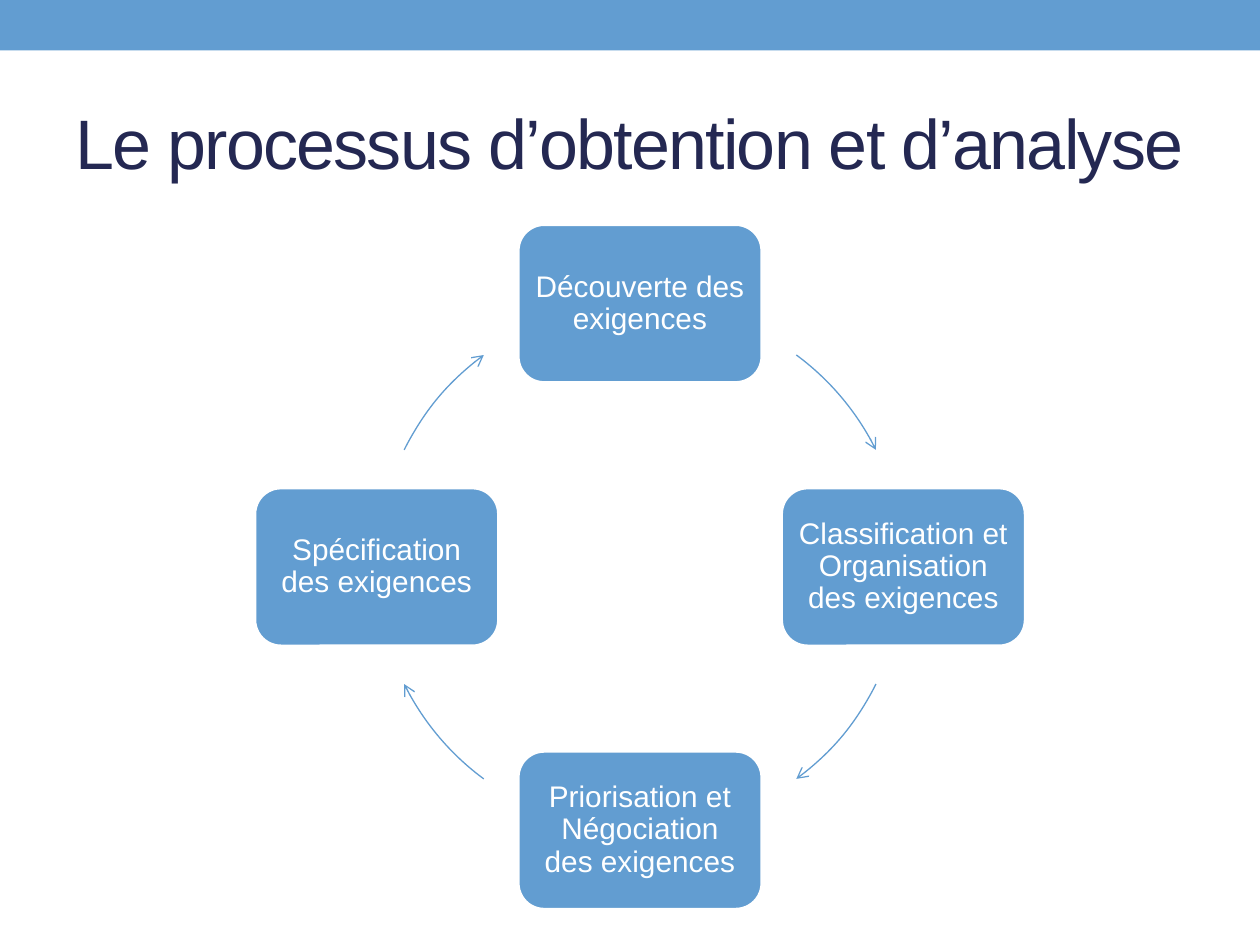
import math

import pptx
import pptx.dml.color
import pptx.enum.shapes
import pptx.enum.text
import pptx.oxml
import pptx.oxml.ns
import pptx.util
from pptx.util import Inches, Pt

# Content, clockwise from the top
TITLE = "Le processus d’obtention et d’analyse"
STEPS = [
    "Découverte des exigences",
    "Classification et Organisation des exigences",
    "Priorisation et Négociation des exigences",
    "Spécification des exigences",
]


class Theme:
    font = "Arial"
    accent = pptx.dml.color.RGBColor.from_string("629DD1")
    dark = pptx.dml.color.RGBColor.from_string("242852")
    white = pptx.dml.color.RGBColor.from_string("FFFFFF")
    title_size = 40
    step_size = 17


# Layout in inches and degrees
WIDTH, HEIGHT = 10, 7.5
CENTER_X, CENTER_Y, RADIUS = 5.08, 4.5, 2.09
BOX_WIDTH, BOX_HEIGHT = 1.94, 1.26
ARROW_MIDDLES = [-40, 40, 140, 220]
HALF_SWEEP = 13.6

SHAPES = pptx.enum.shapes.MSO_SHAPE
ALIGN = pptx.enum.text.PP_ALIGN


def add_shape(slide, kind, left, top, width, height):
    shape = slide.shapes.add_shape(
        kind, Inches(left), Inches(top), Inches(width), Inches(height))
    shape.shadow.inherit = False
    return shape


def fill_shape(shape, color):
    shape.fill.solid()
    shape.fill.fore_color.rgb = color


def write(shape, text, size, color, alignment):
    frame = shape.text_frame
    frame.word_wrap = True
    frame.vertical_anchor = pptx.enum.text.MSO_ANCHOR.MIDDLE
    paragraph = frame.paragraphs[0]
    paragraph.alignment = alignment
    run = paragraph.add_run()
    run.text = text
    run.font.name = Theme.font
    run.font.size = Pt(size)
    run.font.color.rgb = color
    return paragraph


def add_step(slide, text, angle):
    x = CENTER_X + RADIUS * math.cos(math.radians(angle))
    y = CENTER_Y + RADIUS * math.sin(math.radians(angle))
    box = add_shape(slide, SHAPES.ROUNDED_RECTANGLE, x - BOX_WIDTH / 2,
                    y - BOX_HEIGHT / 2, BOX_WIDTH, BOX_HEIGHT)
    fill_shape(box, Theme.accent)
    box.line.color.rgb = Theme.white
    box.line.width = Pt(2.08)
    frame = box.text_frame
    frame.margin_left = frame.margin_right = Inches(0.07)
    frame.margin_top = frame.margin_bottom = Inches(0.07)
    paragraph = write(box, text, Theme.step_size, Theme.white, ALIGN.CENTER)
    paragraph.line_spacing = 0.9


def add_arc_arrow(slide, middle):
    arc = add_shape(slide, SHAPES.ARC, CENTER_X - RADIUS, CENTER_Y - RADIUS,
                    2 * RADIUS, 2 * RADIUS)
    # Arc angles are in 1/60000 degree, adjustments in units of 100000
    for index, angle in enumerate((middle - HALF_SWEEP, middle + HALF_SWEEP)):
        arc.adjustments[index] = (angle % 360) * 0.6
    arc.fill.background()
    arc.line.color.rgb = Theme.accent
    arc.line.width = Pt(0.75)
    line = arc.line._get_or_add_ln()
    line.append(pptx.oxml.parse_xml(
        f'<a:tailEnd {pptx.oxml.ns.nsdecls("a")} type="arrow"/>'))


def main():
    presentation = pptx.Presentation()
    presentation.slide_width = Inches(WIDTH)
    presentation.slide_height = Inches(HEIGHT)
    slide = presentation.slides.add_slide(presentation.slide_layouts[6])

    # Top band
    band = add_shape(slide, SHAPES.RECTANGLE, 0, 0, WIDTH, 0.4)
    fill_shape(band, Theme.accent)
    band.line.fill.background()

    # Title, with tightened letter spacing
    title = slide.shapes.add_textbox(
        Inches(0.5), Inches(0.58), Inches(9), Inches(1.08))
    paragraph = write(title, TITLE, Theme.title_size, Theme.dark, ALIGN.LEFT)
    paragraph.runs[0].font._element.set("spc", "-100")

    # Cycle of steps and arrows
    for index, (text, middle) in enumerate(zip(STEPS, ARROW_MIDDLES)):
        add_step(slide, text, -90 + index * 360 / len(STEPS))
        add_arc_arrow(slide, middle)

    presentation.save("out.pptx")


if __name__ == "__main__":
    main()
